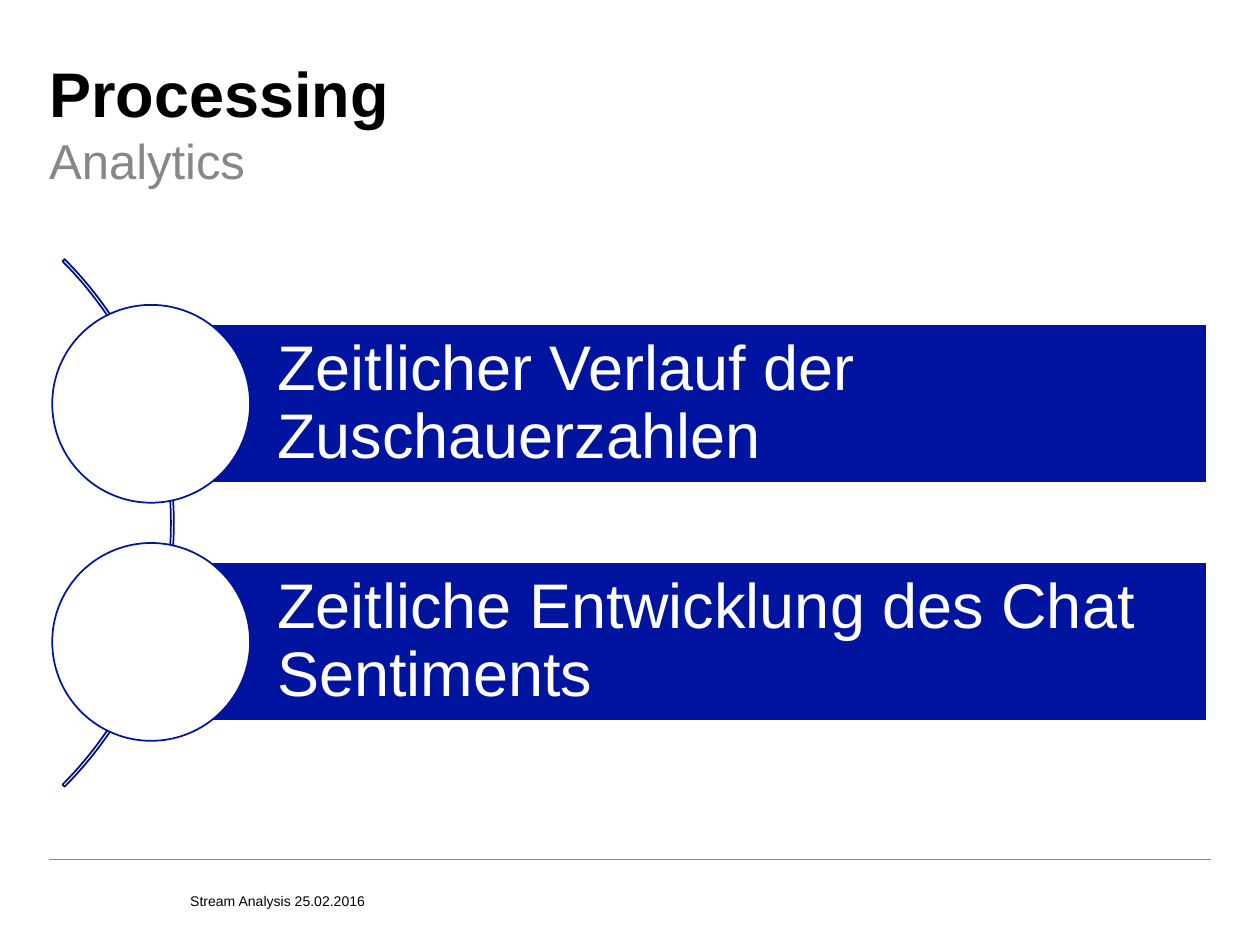
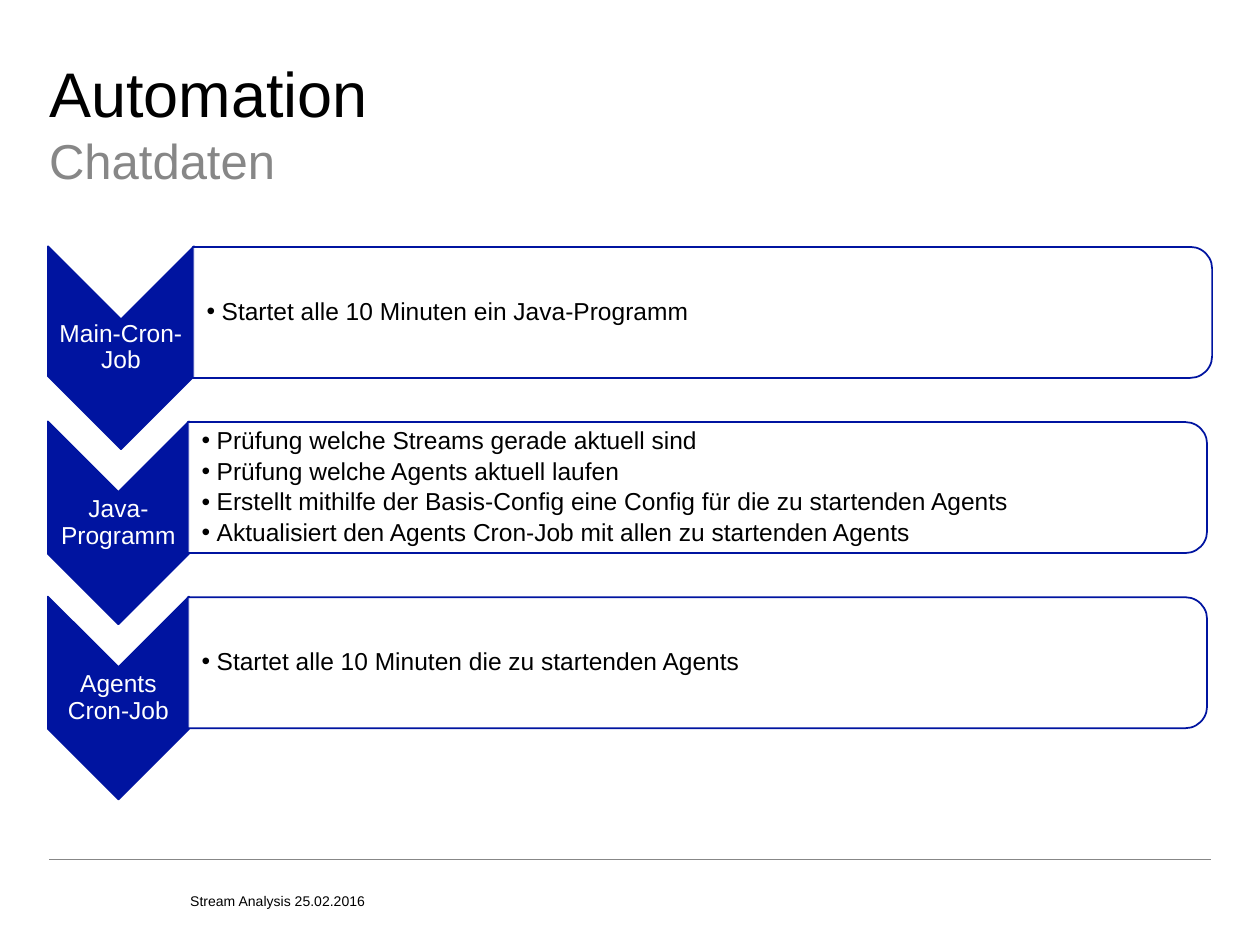
from dataclasses import dataclass

from lxml.etree import SubElement
from pptx import Presentation
from pptx.dml.color import RGBColor
from pptx.enum.shapes import MSO_CONNECTOR, MSO_SHAPE
from pptx.enum.text import MSO_ANCHOR, MSO_AUTO_SIZE, PP_ALIGN
from pptx.oxml.ns import qn
from pptx.util import Inches, Pt


@dataclass(frozen=True)
class Theme:
    font: str = "Arial"
    black: RGBColor = RGBColor(0, 0, 0)
    white: RGBColor = RGBColor(255, 255, 255)
    gray: RGBColor = RGBColor(0x87, 0x87, 0x87)
    blue: RGBColor = RGBColor(0x00, 0x14, 0xA0)
    dark_blue: RGBColor = RGBColor(0x00, 0x10, 0x80)
    title_size: int = 36
    subtitle_size: int = 28
    label_size: int = 14
    footer_size: int = 8


theme = Theme()
SLIDE_WIDTH, SLIDE_HEIGHT = 10, 7.5
MARGIN = 0.39
HEADER_WIDTH = 6.97
FOOTER_LEFT = 1.51


def write_text(shape, lines, size, color, margins=(0, 0, 0, 0), anchor=MSO_ANCHOR.MIDDLE,
               alignment=PP_ALIGN.LEFT, spacing=0.9, bold=False, bulleted=False):
    """Fill a shape with one paragraph per line; margins run left, top, right, bottom."""
    frame = shape.text_frame
    frame.word_wrap = True
    frame.auto_size = MSO_AUTO_SIZE.NONE
    frame.vertical_anchor = anchor
    frame.margin_left, frame.margin_top, frame.margin_right, frame.margin_bottom = map(Inches, margins)
    for number, line in enumerate(lines):
        paragraph = frame.add_paragraph() if number else frame.paragraphs[0]
        paragraph.alignment = alignment
        paragraph.line_spacing = spacing
        paragraph.space_before = Pt(0)
        paragraph.space_after = Pt(2.5 if bulleted else 0)
        properties = paragraph._p.get_or_add_pPr()
        indent = Inches(0.12) if bulleted else 0
        properties.set("marL", str(indent))
        properties.set("indent", str(-indent))
        if bulleted:
            SubElement(properties, qn("a:buFont"), typeface=theme.font)
            SubElement(properties, qn("a:buChar"), char="•")
        else:
            SubElement(properties, qn("a:buNone"))
        run = paragraph.add_run()
        run.text = line
        run.font.name = theme.font
        run.font.size = Pt(size)
        run.font.bold = bold
        run.font.color.rgb = color


def add_centered(slide, kind, center_x, center_y, width, height, fill, line, rotation=0):
    """Add a preset shape around a centre point, which also holds when it is rotated."""
    shape = slide.shapes.add_shape(kind, Inches(center_x - width / 2), Inches(center_y - height / 2),
                                   Inches(width), Inches(height))
    shape.rotation = rotation
    shape.shadow.inherit = False
    if fill is None:
        shape.fill.background()
    else:
        shape.fill.solid()
        shape.fill.fore_color.rgb = fill
    shape.line.color.rgb = line
    shape.line.width = Pt(1)
    return shape


presentation = Presentation()
presentation.slide_width = Inches(SLIDE_WIDTH)
presentation.slide_height = Inches(SLIDE_HEIGHT)
layout = presentation.slide_layouts.get_by_name("Title and Content")

# Title, subtitle and footer of every slide
slides = []
for title, subtitle, bold in (("Processing", "Analytics", True), ("Automation", "Chatdaten", False)):
    slide = presentation.slides.add_slide(layout)
    slides.append(slide)
    heading, body = slide.placeholders
    for placeholder, top, height in ((heading, 0.41, 0.62), (body, 0.95, 0.55)):
        placeholder.left, placeholder.top = Inches(MARGIN), Inches(top)
        placeholder.width, placeholder.height = Inches(HEADER_WIDTH), Inches(height)
    write_text(heading, [title], theme.title_size, theme.black,
               anchor=MSO_ANCHOR.BOTTOM, spacing=1.0, bold=bold)
    write_text(body, [subtitle], theme.subtitle_size, theme.gray,
               anchor=MSO_ANCHOR.BOTTOM, spacing=1.1)
    footer = slide.shapes.add_textbox(Inches(FOOTER_LEFT), Inches(6.9), Inches(7.43), Inches(0.32))
    write_text(footer, ["Stream Analysis 25.02.2016"], theme.footer_size, theme.black,
               anchor=MSO_ANCHOR.BOTTOM, spacing=1.0)

analytics, automation = slides

# The footer rule is drawn once and moved to the slide master
rule = analytics.shapes.add_connector(MSO_CONNECTOR.STRAIGHT, Inches(MARGIN), Inches(6.82),
                                      Inches(SLIDE_WIDTH - MARGIN), Inches(6.82))
rule.line.color.rgb = theme.gray
rule.line.width = Pt(0.5)
SubElement(rule.element.spPr, qn("a:effectLst"))
presentation.slide_master.shapes.element.append(rule.element)

# Analytics: two topics along an arc
ARC_SIZE = 5.92
ARC_CENTER_X, ARC_CENTER_Y = -1.58, 4.15
TOPIC_PITCH = 1.89
CIRCLE_SIZE = 1.57
BAR_LEFT, BAR_WIDTH, BAR_HEIGHT = 1.2, 8.38, 1.26

arc = add_centered(analytics, MSO_SHAPE.BLOCK_ARC, ARC_CENTER_X, ARC_CENTER_Y,
                   ARC_SIZE, ARC_SIZE, None, theme.dark_blue)
for index, value in enumerate((189, 27, 0.004)):
    arc.adjustments[index] = value

topics = ("Zeitlicher Verlauf der Zuschauerzahlen", "Zeitliche Entwicklung des Chat Sentiments")
for row, topic in enumerate(topics):
    center_y = ARC_CENTER_Y + (row - 0.5) * TOPIC_PITCH
    bar = add_centered(analytics, MSO_SHAPE.RECTANGLE, BAR_LEFT + BAR_WIDTH / 2, center_y,
                       BAR_WIDTH, BAR_HEIGHT, theme.blue, theme.white)
    write_text(bar, [topic], theme.title_size, theme.white, margins=(1, 0.1, 0.1, 0.1))
    add_centered(analytics, MSO_SHAPE.OVAL, BAR_LEFT, center_y,
                 CIRCLE_SIZE, CIRCLE_SIZE, theme.white, theme.blue)

# Automation: three steps, each a downward chevron with a panel
STEP_TOP, STEP_PITCH = 2.48, 1.39
CHEVRON_LEFT, CHEVRON_HEIGHT, CHEVRON_DROP = 0.38, 1.61, 0.28
PANEL_WIDTH, PANEL_HEIGHT = 8.09, 1.04
PANEL_TEXT_WIDTH, PANEL_TEXT_HEIGHT = 8.04, 0.94
LABEL_HEIGHT = 0.48
steps = (
    ("Main-Cron-Job", 1.16, ["Startet alle 10 Minuten ein Java-Programm"]),
    ("Java-Programm", 1.12, [
        "Prüfung welche Streams gerade aktuell sind",
        "Prüfung welche Agents aktuell laufen",
        "Erstellt mithilfe der Basis-Config eine Config für die zu startenden Agents",
        "Aktualisiert den Agents Cron-Job mit allen zu startenden Agents",
    ]),
    ("Agents Cron-Job", 1.12, ["Startet alle 10 Minuten die zu startenden Agents"]),
)
for row, (name, chevron_width, tasks) in enumerate(steps):
    panel_y = STEP_TOP + row * STEP_PITCH
    chevron_y = panel_y + CHEVRON_DROP
    panel_left = CHEVRON_LEFT + chevron_width - 0.01
    add_centered(automation, MSO_SHAPE.CHEVRON, CHEVRON_LEFT + chevron_width / 2, chevron_y,
                 CHEVRON_HEIGHT, chevron_width, theme.blue, theme.blue, rotation=90)
    label = automation.shapes.add_textbox(Inches(CHEVRON_LEFT), Inches(chevron_y - LABEL_HEIGHT / 2),
                                          Inches(chevron_width), Inches(LABEL_HEIGHT))
    write_text(label, [name], theme.label_size, theme.white, margins=(0.01,) * 4,
               alignment=PP_ALIGN.CENTER)

    panel = add_centered(automation, MSO_SHAPE.ROUND_2_SAME_RECTANGLE, panel_left + PANEL_WIDTH / 2,
                         panel_y, PANEL_HEIGHT, PANEL_WIDTH, theme.white, theme.blue, rotation=90)
    panel_color = panel.element.spPr.find(qn("a:solidFill")).find(qn("a:srgbClr"))
    SubElement(panel_color, qn("a:alpha"), val="90000")
    task_list = automation.shapes.add_textbox(Inches(panel_left), Inches(panel_y - PANEL_TEXT_HEIGHT / 2),
                                              Inches(PANEL_TEXT_WIDTH), Inches(PANEL_TEXT_HEIGHT))
    write_text(task_list, tasks, theme.label_size, theme.black,
               margins=(0.11, 0.01, 0.01, 0.01), bulleted=True)

presentation.save("out.pptx")
